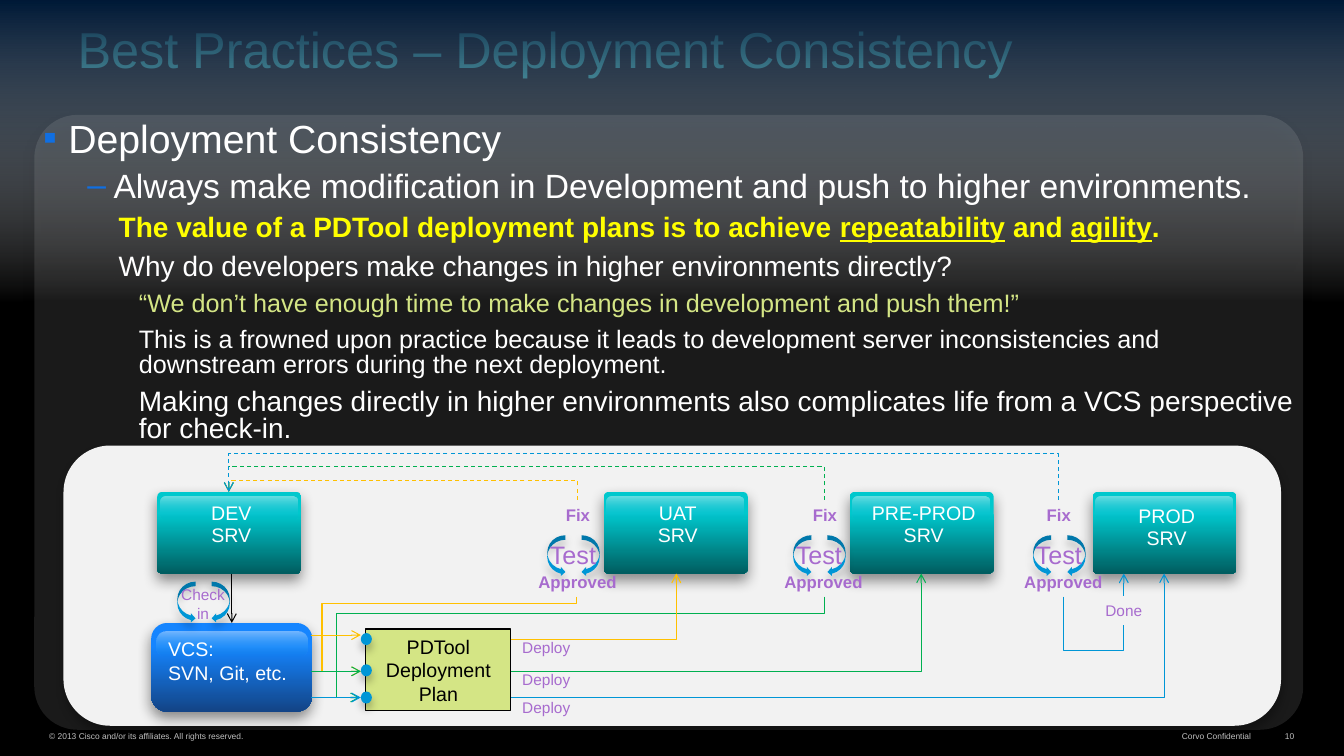
from lxml import etree
from pptx import Presentation
from pptx import util as u
from pptx.dml.color import RGBColor
from pptx.enum import dml, shapes, text
from pptx.oxml.ns import qn

rgb = RGBColor.from_string
kinds = shapes.MSO_SHAPE
white, teal, blue, violet, lime = "FFFFFF", "00C8CD", "0096D6", "A76BCE", "D4E585"
gold, green = "FFC000", "00B050"
soft, deep = (27, 6, 4, 90), (44, 10, 5, 94)
gloss = [(0, white, 41), (100, blue, 0)]

deck = Presentation()
deck.slide_width, deck.slide_height = u.Cm(33.87), u.Cm(19.05)
page = deck.slides.add_slide(deck.slide_layouts[5])
page.background.fill.solid()
page.background.fill.fore_color.rgb = rgb("000000")


def put(kind, box, stops, cast=None, adj=None):
    box = [u.Cm(2.54 * n) for n in box]
    if kind is None:
        item = page.shapes.add_textbox(*box)
        item.text_frame.word_wrap = True
        return item
    item = page.shapes.add_shape(kind, *box)
    item.line.fill.background()
    if adj is not None:
        item.adjustments[0] = adj
    if len(stops) == 1:
        item.fill.solid()
        item.fill.fore_color.rgb = rgb(stops[0][1])
    else:
        item.fill.gradient()
        item.fill.gradient_angle = 270
        for stop, (pos, hue, _) in zip(item.fill.gradient_stops, stops):
            stop.position = pos / 100
            stop.color.rgb = rgb(hue)
    for node, (_, _, alpha) in zip(item._element.spPr.iter(qn("a:srgbClr")), stops):
        if alpha < 100:
            etree.SubElement(node, qn("a:alpha"), val=str(alpha * 1000))
    item.shadow.inherit = False
    if cast:
        alpha, blur, dist, turn = cast
        glow = etree.SubElement(item._element.spPr.find(qn("a:effectLst")), qn("a:outerShdw"),
                                blurRad=str(u.Pt(blur)), dist=str(u.Pt(dist)),
                                dir=str(turn * 60000), algn="ctr", rotWithShape="0")
        tint = etree.SubElement(glow, qn("a:srgbClr"), val="000000")
        etree.SubElement(tint, qn("a:alpha"), val=str(alpha * 1000))
    return item


def link(x1, y1, x2, y2, hue, bend=None, turn=0, flip=None, adj=(), dash=False, head=True):
    w, h = abs(x2 - x1), abs(y2 - y1)
    if turn:
        w, h = h, w
    left, top = (x1 + x2 - w) / 2, (y1 + y2 - h) / 2
    kind = shapes.MSO_CONNECTOR.ELBOW if bend else shapes.MSO_CONNECTOR.STRAIGHT
    wire = page.shapes.add_connector(kind, *[u.Cm(2.54 * n) for n in (left, top, left + w, top + h)])
    wire.line.color.rgb = rgb(hue)
    wire.line.width = u.Pt(0.75)
    if dash:
        wire.line.dash_style = dml.MSO_LINE.DASH
    props = wire._element.spPr
    if head:
        etree.SubElement(props.find(qn("a:ln")), qn("a:tailEnd"), type="arrow")
    etree.SubElement(props, qn("a:effectLst"))
    frame = props.find(qn("a:xfrm"))
    if turn:
        frame.set("rot", str(turn * 60000))
    if flip:
        frame.set(flip, "1")
    if bend:
        geom = props.find(qn("a:prstGeom"))
        geom.set("prst", f"bentConnector{bend}")
        for i, part in enumerate(adj, 1):
            name = "adj1" if bend < 3 else f"adj{i}"
            etree.SubElement(geom.find(qn("a:avLst")), qn("a:gd"), name=name,
                             fmla=f"val {round(part * 100000)}")


put(kinds.RECTANGLE, (0, 0, 13.33, 3.01), [(0, "001A38", 100), (100, white, 0)], soft)
put(kinds.ROUNDED_RECTANGLE, (0.34, 1.14, 12.59, 6.1), [(0, white, 10)], deep, 0.07)

title = page.shapes.title
title.left, title.top, title.width, title.height = [u.Cm(n) for n in (1.7, 0.2, 31.6, 1.9)]
frame = title.text_frame
frame.text = "Best Practices – Deployment Consistency"
frame.vertical_anchor = text.MSO_ANCHOR.BOTTOM
para = frame.paragraphs[0]
para.alignment = text.PP_ALIGN.LEFT
para.line_spacing = 0.8
font = para.runs[0].font
font.name, font.size, font.color.rgb = "Arial", u.Pt(36), rgb("40FFFE")

points = [
    ("Deployment Consistency", 28, white, 0.25, -0.25, "▪"),
    (" Always make modification in Development and push to higher environments.", 24, white, 0.44, 0, "–"),
    ("The value of a PDTool deployment plans is to achieve |repeatability| and |agility|.",
     20, "FFFF00", 0.75, 0, None),
    ("Why do developers make changes in higher environments directly?", 20, white, 0.75, 0, None),
    ("“We don’t have enough time to make changes in development and push them!”", 18, lime, 0.95, 0, None),
    ("This is a frowned upon practice because it leads to development server inconsistencies "
     "and downstream errors during the next deployment.", 18, white, 0.95, 0, None),
    ("Making changes directly in higher environments also complicates life from a VCS "
     "perspective for check-in.", 20, white, 0.95, 0, None),
]
frame = put(None, (0.33, 1.17, 12.66, 6.08), []).text_frame
for i, (words, size, hue, left, hang, mark) in enumerate(points):
    para = frame.add_paragraph() if i else frame.paragraphs[0]
    props = para._p.get_or_add_pPr()
    props.set("marL", str(u.Cm(2.54 * left)))
    props.set("indent", str(u.Cm(2.54 * hang)))
    if mark:
        tint = etree.SubElement(props, qn("a:buClr"))
        etree.SubElement(tint, qn("a:srgbClr"), val="106FE2")
        etree.SubElement(props, qn("a:buFont"), typeface="Arial")
        etree.SubElement(props, qn("a:buChar"), char=mark)
    para.line_spacing = 0.8
    if i:
        para.space_before = u.Pt(8.4)
    for j, part in enumerate(words.split("|")):
        run = para.add_run()
        run.text = part
        font = run.font
        font.name, font.size, font.color.rgb = "Arial", u.Pt(size), rgb(hue)
        font.bold, font.underline = hue == "FFFF00", j % 2 == 1

put(kinds.ROUNDED_RECTANGLE, (0.63, 4.42, 12.08, 2.78), [(0, "F2F2F2", 100)], soft)

labels = [
    ("© 2013 Cisco and/or its affiliates. All rights reserved.", (0.39, 7.2, 4.99, 0.19), 6, "C0C0C0", "l"),
    ("Corvo Confidential", (11.2, 7.2, 1.31, 0.19), 6, "C0C0C0", "r"),
    ("10", (12.44, 7.2, 0.5, 0.19), 6, "C0C0C0", "r"),
    ("VCS:\nSVN, Git, etc.", (1.57, 6.27, 1.64, 0.57), 14, white, "l"),
    ("Check in", (1.68, 5.76, 0.67, 0.47), 11, violet, "c"),
    ("Done", (10.75, 5.91, 0.8, 0.29), 11, violet, "c"),
]
for name, x, y in [("DEV", 1.56, 4.95), ("UAT", 5.99, 4.95), ("PRE-PROD", 8.43, 4.95), ("PROD", 10.84, 4.98)]:
    put(kinds.ROUNDED_RECTANGLE, (x, 4.88, 1.43, 0.81), [(26, teal, 100), (100, "005D60", 100)], deep, 0.06)
    put(kinds.ROUNDED_RECTANGLE, (x + 0.03, 4.93, 1.36, 0.22), gloss, adj=0.18)
    labels.append((f"{name}\nSRV", (x - 0.11, y, 1.69, 0.53), 14, white, "c"))

put(kinds.ROUNDED_RECTANGLE, (1.5, 6.18, 1.6, 0.88), [(26, "1585FF", 100), (100, "134486", 100)], deep, 0.18)
put(kinds.ROUNDED_RECTANGLE, (1.55, 6.27, 1.5, 0.24), gloss, adj=0.37)

plan = put(kinds.RECTANGLE, (3.63, 6.24, 1.44, 0.81), [(0, lime, 100)])
plan.line.color.rgb = rgb("000000")
plan.line.width = u.Pt(0.75)
plan.text_frame.text = "PDTool Deployment Plan"
para = plan.text_frame.paragraphs[0]
para.alignment = text.PP_ALIGN.CENTER
font = para.runs[0].font
font.name, font.size, font.color.rgb = "Arial", u.Pt(14), rgb("000000")

for x, y in [(1.76, 5.77), (5.43, 5.31), (7.87, 5.31), (10.25, 5.31)]:
    put(kinds.CURVED_RIGHT_ARROW, (x, y, 0.18, 0.41), [(0, blue, 100)], soft)
    put(kinds.CURVED_LEFT_ARROW, (x + 0.34, y, 0.18, 0.41), [(0, blue, 100)], soft)

link(2.3, 5.69, 2.3, 6.18, "000000")
for x, fix, y, hue in [(5.35, 5.73, 4.77, gold), (7.79, 8.18, 4.63, green), (10.17, 10.5, 4.5, blue)]:
    link(fix, 4.96, 2.27, 4.88, hue, 3, 270, "flipV", [(4.96 - y) / 0.08], dash=True)
    labels += [("Test", (x, 5.3, 0.67, 0.4), 18, violet, "c"),
               ("Fix", (fix - 0.33, 4.96, 0.67, 0.3), 12, violet, "c"),
               ("Approved", (x - 0.13, 5.62, 1.02, 0.3), 12, violet, "c")]

link(5.72, 5.92, 3.58, 6.66, gold, 4, 90, adj=[0.09, 1.18])
link(8.18, 5.92, 3.57, 6.92, green, 4, 90, adj=[0.17, 1.05])
link(10.55, 5.92, 11.15, 6.2, blue, 3, 270, "flipH", [1.9], head=False)
link(11.15, 5.91, 11.15, 5.69, blue, flip="flipV")

for y, out, x, dot, note, hue in [(6.3, 6.34, 6.71, 6.28, 6.28, gold), (6.66, 6.66, 9.14, 6.59, 6.6, green),
                                  (6.92, 6.92, 11.55, 6.86, 6.88, blue)]:
    put(kinds.FLOWCHART_CONNECTOR, (3.58, dot, 0.11, 0.12), [(0, blue, 100)], soft)
    link(3.09, y, 3.58, y, hue)
    link(5.07, out, x, 5.69, hue, 2, flip="flipV")
    labels.append(("Deploy", (5.03, note, 0.78, 0.29), 11, violet, "c"))

sides = {"l": text.PP_ALIGN.LEFT, "c": text.PP_ALIGN.CENTER, "r": text.PP_ALIGN.RIGHT}
for words, box, size, hue, side in labels:
    frame = put(None, box, []).text_frame
    frame.word_wrap = words not in ("Test", "Approved")
    frame.text = words
    for para in frame.paragraphs:
        para.alignment = sides[side]
        if "SRV" in words:
            para.line_spacing = 0.9
        font = para.runs[0].font
        font.name, font.size, font.color.rgb = "Arial", u.Pt(size), rgb(hue)
        font.bold = size == 12

deck.save("out.pptx")
